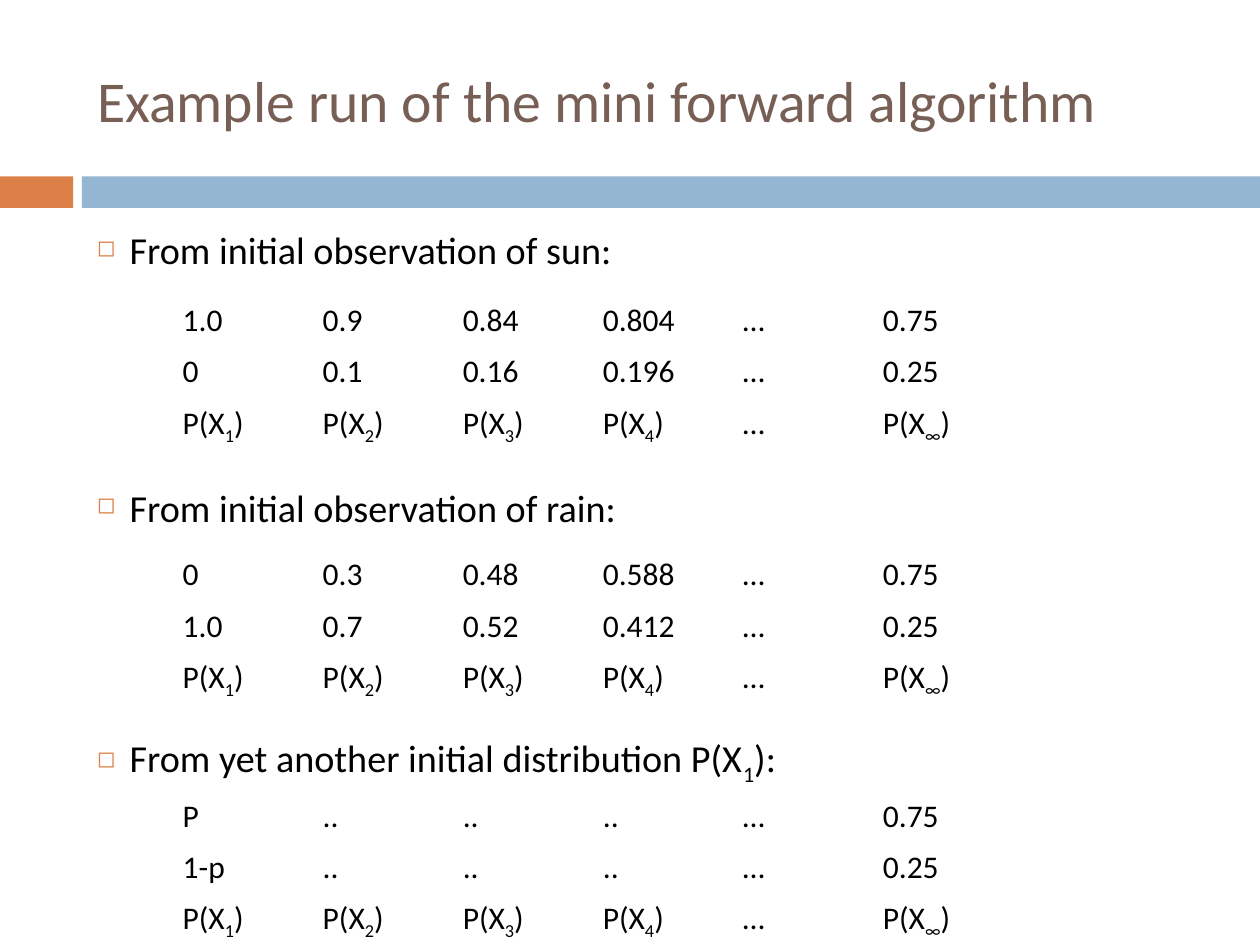
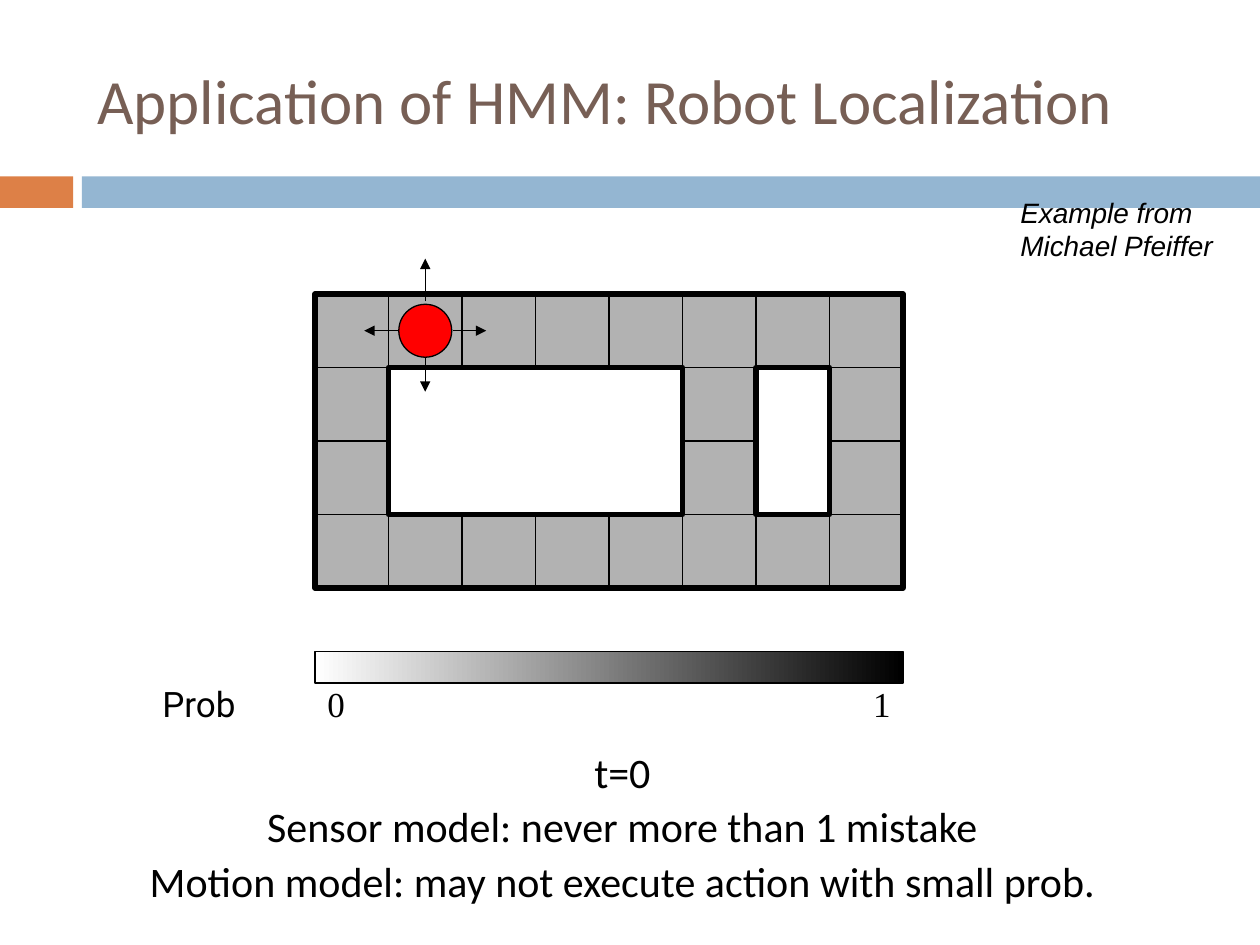
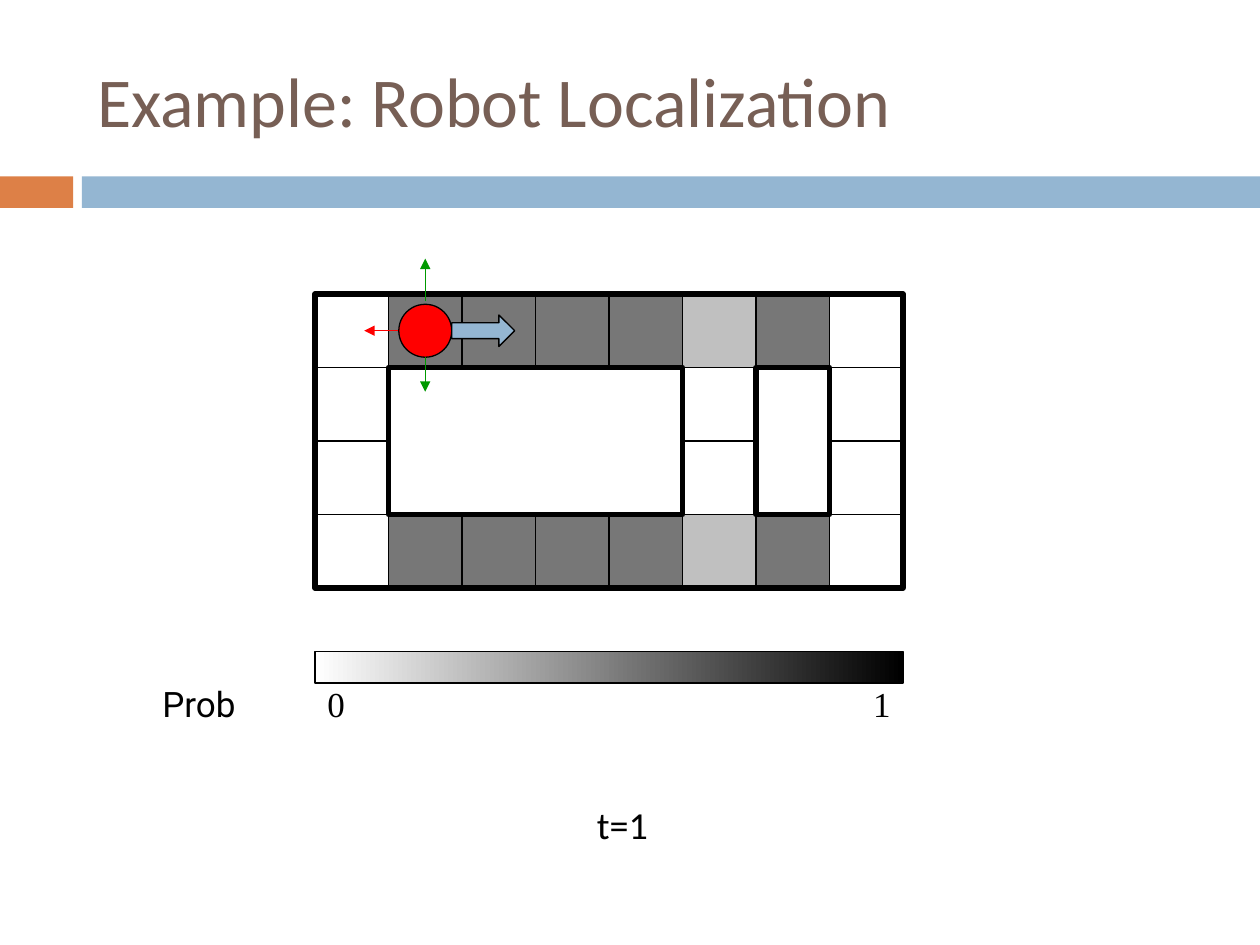
from dataclasses import dataclass

from lxml.etree import SubElement
from pptx import Presentation
from pptx.dml.color import RGBColor
from pptx.enum.shapes import MSO_CONNECTOR as Connector, MSO_SHAPE as Preset
from pptx.enum.text import MSO_ANCHOR as Anchor, MSO_AUTO_SIZE as AutoSize, PP_ALIGN as Align
from pptx.oxml.ns import qn
from pptx.util import Inches, Pt


@dataclass(frozen=True)
class Theme:
    """Colours, fonts and sizes shared by the slides."""
    title: str = "775F55"
    accent: str = "DD8047"
    band: str = "94B6D2"
    ink: str = "000000"
    paper: str = "FFFFFF"
    robot: str = "FF0000"
    free: str = "009900"
    unknown: str = "B2B2B2"
    likely: str = "777777"
    unlikely: str = "C0C0C0"
    font: str = "Calibri"
    credit_font: str = "Arial"
    number_font: str = "Times New Roman"
    label_font: str = "Roboto"
    body_size: float = 21.8
    model_size: float = 24
    table_size: float = 18
    label_size: float = 20
    credit_size: float = 16
    thin: float = 0.75
    thick: float = 3


@dataclass(frozen=True)
class Box:
    """A region of the slide in inches."""
    left: float
    top: float
    width: float
    height: float

    def inside(self, left, top, width, height):
        """Return a box offset from this one's top left corner."""
        return Box(self.left + left, self.top + top, width, height)

    def lengths(self):
        """Return the four lengths for a python-pptx call."""
        return [Inches(value) for value in (self.left, self.top, self.width, self.height)]


THEME = Theme()
SLIDE = Box(0, 0, 10, 7.5)
TITLE = Box(0.67, 0.25, 8.92, 1.08)
BODY = Box(0.67, 1.75, 8.92, 4.92)
CELL = 7 / 12
MAZE = Box(SLIDE.width / 4, 4 * CELL, 8 * CELL, 4 * CELL)
LEGEND = Box(MAZE.left, 5.17, MAZE.width, 0.25)
SHADES = {"u": THEME.unknown, "d": THEME.likely, "l": THEME.unlikely, "o": None}
WALLS = [(1, 1, 4, 2, THEME.paper), (0, 0, 8, 4, None), (6, 1, 1, 2, None)]
UNIFORM = ["uuuuuuuu", "u....u.u", "u....u.u", "uuuuuuuu"]
POSTERIOR = ["oddddldo", "o....o.o", "o....o.o", "oddddldo"]
MOVES = {"up": (0, -1, 0.4, 0.98), "down": (0, 1, 0.36, 0.83),
         "left": (-1, 0, 0.37, 0.83), "right": (1, 0, 0.38, 0.83)}
STATES = ["P(X_1)", "P(X_2)", "P(X_3)", "P(X_4)", "…", "P(X_∞)"]
RUNS = [
    ("From initial observation of sun:", 0, 2.34, 0.41,
     [["1.0", "0.9", "0.84", "0.804", "…", "0.75"], ["0", "0.1", "0.16", "0.196", "…", "0.25"]]),
    ("From initial observation of rain:", 121, 4.36, 0.41,
     [["0", "0.3", "0.48", "0.588", "…", "0.75"], ["1.0", "0.7", "0.52", "0.412", "…", "0.25"]]),
    ("From yet another initial distribution P(X_1):", 117, 6.28, 0.4,
     [["P", "..", "..", "..", "…", "0.75"], ["1-p", "..", "..", "..", "…", "0.25"]]),
]


def apply(target, values):
    """Set each named attribute of the target."""
    for name, value in values.items():
        setattr(target, name, value)


def write(paragraph, text, size, font=THEME.font, color=THEME.ink, italic=False, **layout):
    """Fill a paragraph, lowering the character after each underscore."""
    apply(paragraph, layout)
    first, *rest = text.split("_")
    pieces = [(first, False)]
    for part in rest:
        pieces += [(part[0], True), (part[1:], False)]
    for piece, lowered in pieces:
        run = paragraph.add_run()
        run.text = piece
        apply(run.font, {"name": font, "size": Pt(size), "italic": italic, "bold": False})
        run.font.color.rgb = RGBColor.from_string(color)
        if lowered:
            run.font.element.set("baseline", "-25000") if hasattr(run.font, "element") else \
                run._r.get_or_add_rPr().set("baseline", "-25000")


def add_text(slide, box, lines, size, anchor=Anchor.TOP, **style):
    """Add a wrapped text box with one paragraph for each line."""
    frame = slide.shapes.add_textbox(*box.lengths()).text_frame
    apply(frame, {"word_wrap": True, "auto_size": AutoSize.NONE, "vertical_anchor": anchor})
    for index, line in enumerate(lines):
        paragraph = frame.add_paragraph() if index else frame.paragraphs[0]
        write(paragraph, line, size, **style)
    return frame


def add_shape(slide, preset, box, fill=None, weight=0):
    """Add a flat preset shape with an optional fill and outline."""
    shape = slide.shapes.add_shape(preset, *box.lengths())
    shape.shadow.inherit = False
    if fill:
        shape.fill.solid()
        shape.fill.fore_color.rgb = RGBColor.from_string(fill)
    else:
        shape.fill.background()
    if weight:
        shape.line.width = Pt(weight)
        shape.line.color.rgb = RGBColor.from_string(THEME.ink)
    else:
        shape.line.fill.background()
    return shape


def add_arrow(slide, start, end, color):
    """Add a thin straight arrow between two points."""
    points = [Inches(value) for value in (*start, *end)]
    connector = slide.shapes.add_connector(Connector.STRAIGHT, *points)
    connector.line.width = Pt(THEME.thin)
    connector.line.color.rgb = RGBColor.from_string(color)
    properties = connector.element.spPr
    SubElement(properties.get_or_add_ln(), qn("a:tailEnd"), type="triangle")
    SubElement(properties, qn("a:effectLst"))


def add_bands(slide):
    """Put the two bands under the title on the slide's layout."""
    tree = slide.slide_layout.element.cSld.spTree
    for left, width, color in [(0, 0.58, THEME.accent), (0.65, 9.35, THEME.band)]:
        band = add_shape(slide, Preset.RECTANGLE, SLIDE.inside(left, 1.4, width, 0.25), color)
        tree.append(band.element)


def add_slide(presentation, text, size):
    """Add a title-only slide with its formatted title."""
    slide = presentation.slides.add_slide(presentation.slide_layouts[5])
    title = slide.shapes.title
    apply(title, dict(zip(("left", "top", "width", "height"), TITLE.lengths())))
    apply(title.text_frame, {"word_wrap": True, "auto_size": AutoSize.NONE,
                             "vertical_anchor": Anchor.MIDDLE})
    write(title.text_frame.paragraphs[0], text, size, color=THEME.title, alignment=Align.LEFT)
    return slide


def add_bullet(paragraph):
    """Give a paragraph a hanging square bullet."""
    properties = paragraph._p.get_or_add_pPr()
    indent = Inches(0.26)
    properties.set("marL", str(indent))
    properties.set("indent", str(-indent))
    color = SubElement(properties, qn("a:buClr"))
    SubElement(color, qn("a:srgbClr"), val=THEME.accent)
    SubElement(properties, qn("a:buSzPct"), val="60000")
    SubElement(properties, qn("a:buChar"), char="◻")


def add_probabilities(slide, box, rows):
    """Add a plain table of probabilities in equal columns and rows."""
    table = slide.shapes.add_table(len(rows), len(rows[0]), *box.lengths()).table
    apply(table, {"first_row": False, "horz_banding": False})
    for cells, values in zip(table.rows, rows):
        for cell, value in zip(cells.cells, values):
            cell.fill.background()
            write(cell.text_frame.paragraphs[0], value, THEME.table_size)


def add_maze(slide, box, shades):
    """Add the shaded cells of the maze and its walls."""
    for row, line in enumerate(shades):
        for column, shade in enumerate(line):
            if shade in SHADES:
                place = box.inside(column * CELL, row * CELL, CELL, CELL)
                add_shape(slide, Preset.RECTANGLE, place, SHADES[shade], THEME.thin)
    for *cells, fill in WALLS:
        place = box.inside(*(count * CELL for count in cells))
        add_shape(slide, Preset.RECTANGLE, place, fill, THEME.thick)


def add_robot(slide, box, colors):
    """Add the robot in its cell with an arrow for each coloured move."""
    inset, size = 0.14 * CELL, 0.72 * CELL
    add_shape(slide, Preset.OVAL, box.inside(inset, inset, size, size), THEME.robot, THEME.thin)
    center = box.left + CELL / 2, box.top + CELL / 2
    for move, color in colors.items():
        across, down, *reaches = MOVES[move]
        start, end = [(center[0] + across * reach * CELL, center[1] + down * reach * CELL)
                      for reach in reaches]
        add_arrow(slide, start, end, color)


def add_legend(slide, box):
    """Add the probability scale with its labels below."""
    scale = add_shape(slide, Preset.RECTANGLE, box, THEME.paper, THEME.thin)
    scale.fill.gradient()
    scale.fill.gradient_angle = 0
    for stop, color in zip(scale.fill.gradient_stops, (THEME.paper, THEME.ink)):
        stop.color.rgb = RGBColor.from_string(color)
    half = box.width / 2
    for text, left, width, alignment, font in [
        ("1", half, half, Align.RIGHT, THEME.number_font),
        ("0", 0, half, Align.LEFT, THEME.number_font),
        ("Prob", -1.67, 1.5, Align.CENTER, THEME.label_font),
    ]:
        add_text(slide, box.inside(left, box.height, width, 0.33), [text], THEME.label_size,
                 Anchor.MIDDLE, font=font, alignment=alignment)


def add_localization(presentation, title, size, shades, colors):
    """Add a slide with the maze, the robot and the scale."""
    slide = add_slide(presentation, title, size)
    add_maze(slide, MAZE, shades)
    add_legend(slide, LEGEND)
    add_robot(slide, MAZE.inside(CELL, 0, CELL, CELL), colors)
    return slide


def add_forward_run(presentation):
    """Add the slide with three runs of the algorithm."""
    slide = add_slide(presentation, "Example run of the mini forward algorithm", 33)
    add_bands(slide)
    frame = add_text(slide, BODY, [run[0] for run in RUNS], THEME.body_size)
    for paragraph, (_, gap, top, row_height, rows) in zip(frame.paragraphs, RUNS):
        paragraph.space_before = Pt(gap)
        add_bullet(paragraph)
        add_probabilities(slide, Box(1.35, top, 6.67, 3 * row_height), rows + [STATES])


def add_start(presentation):
    """Add the slide with the robot's position unknown."""
    slide = add_localization(presentation, "Application of HMM: Robot Localization", 36, UNIFORM,
                             dict.fromkeys(MOVES, THEME.ink))
    lines = ["t=0", "Sensor model: never more than 1 mistake",
             "Motion model: may not execute action with small prob."]
    add_text(slide, Box(0.69, 5.92, 8.5, 1.39), lines, THEME.model_size,
             alignment=Align.CENTER, line_spacing=0.9, space_before=Pt(5.2))
    add_text(slide, Box(8, 1.5, 1.83, 0.64), ["Example from Michael Pfeiffer"],
             THEME.credit_size, font=THEME.credit_font, italic=True)


def add_first_step(presentation):
    """Add the slide after the first sensor reading."""
    colors = {"up": THEME.free, "down": THEME.free, "left": THEME.robot}
    slide = add_localization(presentation, "Example: Robot Localization", 40, POSTERIOR, colors)
    add_text(slide, Box(0.69, 6.31, 8.5, 1), ["t=1"], THEME.body_size, alignment=Align.CENTER)
    step = MAZE.inside(1.86 * CELL, CELL / 2 - 0.125, 0.5, 0.25)
    add_shape(slide, Preset.RIGHT_ARROW, step, THEME.band, THEME.thin)


def main():
    """Build and save the presentation."""
    presentation = Presentation()
    apply(presentation, {"slide_width": Inches(SLIDE.width), "slide_height": Inches(SLIDE.height)})
    add_forward_run(presentation)
    add_start(presentation)
    add_first_step(presentation)
    presentation.save("out.pptx")


if __name__ == "__main__":
    main()
